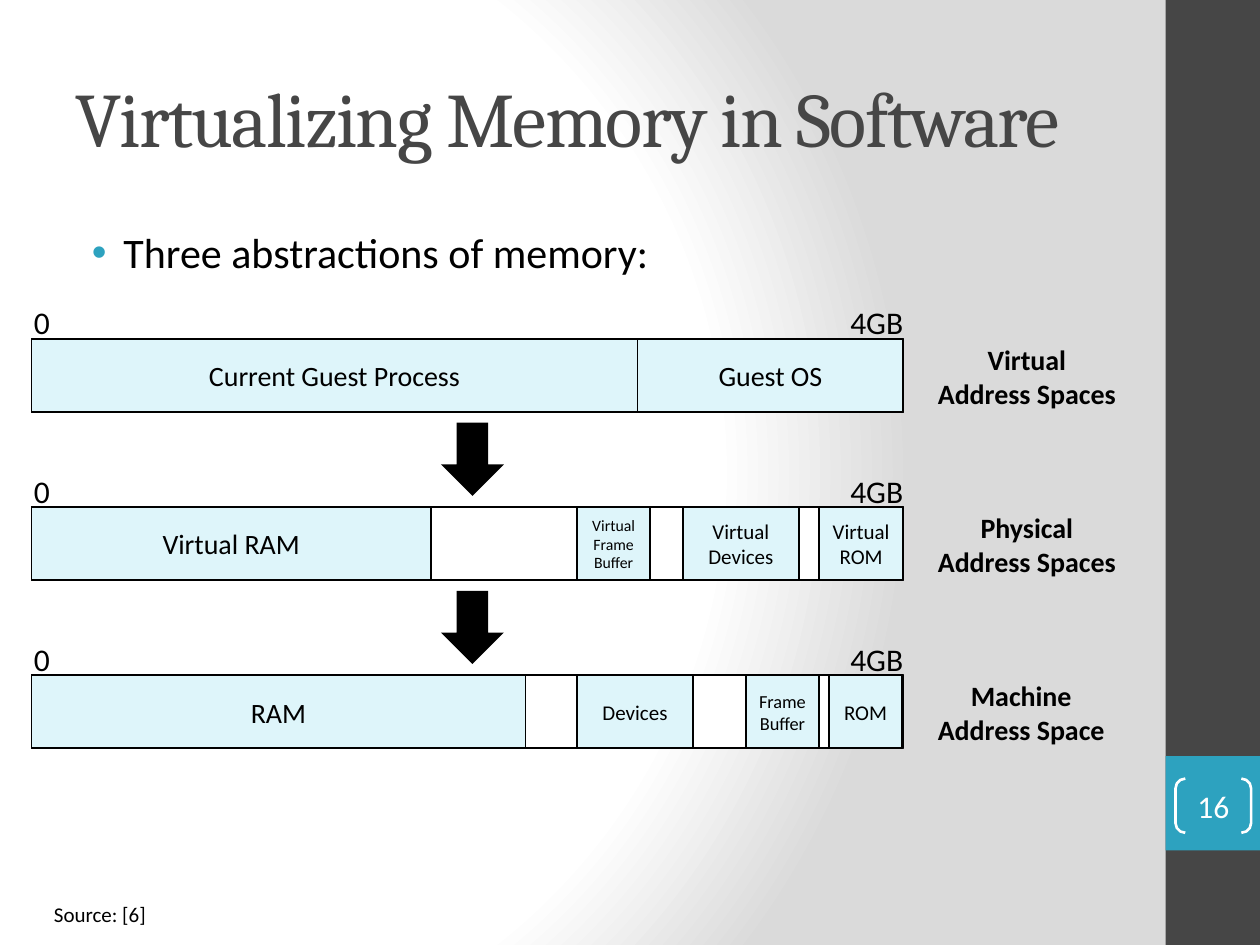
from dataclasses import dataclass
from pptx import Presentation
from pptx.dml.color import RGBColor
from pptx.enum.shapes import MSO_SHAPE as Shape
from pptx.enum.text import MSO_ANCHOR as Anchor, MSO_AUTO_SIZE as AutoSize, PP_ALIGN as Align
from pptx.oxml import parse_xml
from pptx.oxml.ns import nsdecls
from pptx.util import Inches, Pt


@dataclass(frozen=True)
class Theme:
    dark: str = "464646"
    accent: str = "2DA2BF"
    memory: str = "DEF5FA"
    white: str = "FFFFFF"
    shade: str = "DADADA"
    black: str = "000000"
    heading_font: str = "Cambria"
    body_font: str = "Calibri"
    title: float = 44
    bullet: float = 24
    address: float = 18
    label: float = 16
    small: float = 12
    compact: float = 10.5
    tiny: float = 9


theme = Theme()


def write(box, text, size, color=theme.black, align=Align.LEFT, bold=False, font=theme.body_font):
    frame = box.text_frame
    frame.text = text
    for para in frame.paragraphs:
        para.alignment = align
        para.font.name = font
        para.font.size = Pt(size)
        para.font.bold = bold
        para.font.color.rgb = RGBColor.from_string(color)
    return frame


def draw(kind, left, top, width, height, fill=None, line=None, weight=1):
    shape = page.shapes.add_shape(kind, Inches(left), Inches(top), Inches(width), Inches(height))
    shape.shadow.inherit = False
    if fill:
        shape.fill.solid()
        shape.fill.fore_color.rgb = RGBColor.from_string(fill)
    else:
        shape.fill.background()
    if line:
        shape.line.color.rgb = RGBColor.from_string(line)
        shape.line.width = Pt(weight)
    else:
        shape.line.fill.background()
    return shape


deck = Presentation()
deck.slide_width, deck.slide_height = Inches(10), Inches(7.5)
page = deck.slides.add_slide(deck.slide_layouts[1])

page.background.fill.solid()
backdrop = page.element.cSld.bg.bgPr
stops = "".join(
    f'<a:gs pos="{position * 1000}"><a:srgbClr val="{color}"/></a:gs>'
    for position, color in [(0, theme.white), (75, theme.white), (100, theme.shade)]
)
backdrop.replace(backdrop[0], parse_xml(
    f'<a:gradFill {nsdecls("a")} rotWithShape="1"><a:gsLst>{stops}</a:gsLst>'
    '<a:path path="circle"><a:fillToRect l="20000" t="50000" r="100000" b="50000"/></a:path></a:gradFill>'
))

draw(Shape.RECTANGLE, 9.25, 0, 0.75, 7.5, theme.dark)
draw(Shape.RECTANGLE, 9.25, 6, 0.75, 0.75, theme.accent)

title, body = page.placeholders
title.left, title.top, title.width, title.height = Inches(0.5), Inches(0.3), Inches(8.33), Inches(1.25)
frame = write(title, "Virtualizing Memory in Software", theme.title, theme.dark, font=theme.heading_font)
frame.vertical_anchor = Anchor.MIDDLE
frame.auto_size = AutoSize.NONE
frame.paragraphs[0].runs[0]._r.get_or_add_rPr().set("spc", "-100")

body.left, body.top, body.width, body.height = Inches(0.5), Inches(1.75), Inches(8.33), Inches(5.25)
frame = write(body, "Three abstractions of memory:", theme.bullet)
frame.auto_size = AutoSize.NONE
para = frame.paragraphs[0]
para.space_before = Pt(5)
properties = para._p.get_or_add_pPr()
properties.set("marL", str(Inches(0.38)))
properties.set("indent", str(Inches(-0.25)))
defaults = properties[-1]
for bullet in (
    f'<a:buClr {nsdecls("a")}><a:srgbClr val="{theme.accent}"/></a:buClr>',
    f'<a:buFont {nsdecls("a")} typeface="Arial"/>',
    f'<a:buChar {nsdecls("a")} char="•"/>',
):
    defaults.addprevious(parse_xml(bullet))

bar_left, bar_width, bar_height = 0.25, 6.92, 0.58
first_top, row_step = 2.69, 1.335
spaces = [
    ("Virtual\nAddress Spaces", 1.64, [
        ("Current Guest Process", 0.25, 4.81, theme.label),
        ("Guest OS", 5.06, 2.11, theme.label),
    ]),
    ("Physical\nAddress Spaces", 1.64, [
        ("Virtual RAM", 0.25, 3.17, theme.label),
        ("Virtual\nFrame\nBuffer", 4.58, 0.58, theme.tiny),
        ("Virtual\nDevices", 5.42, 0.92, theme.small),
        ("Virtual\nROM", 6.5, 0.67, theme.small),
    ]),
    ("Machine\nAddress Space", 1.55, [
        ("RAM", 0.25, 3.92, theme.label),
        ("Devices", 4.58, 0.92, theme.small),
        ("Frame\nBuffer", 5.92, 0.58, theme.compact),
        ("ROM", 6.58, 0.58, theme.small),
    ]),
]

for row, (name, name_width, regions) in enumerate(spaces):
    top = first_top + row * row_step
    if row:
        draw(Shape.DOWN_ARROW, 3.5, top - 0.67, 0.5, bar_height, theme.black)
    draw(Shape.RECTANGLE, bar_left, top, bar_width, bar_height, theme.white, theme.black)
    for text, left, width, size in regions:
        region = draw(Shape.RECTANGLE, left, top, width, bar_height, theme.memory, theme.black)
        frame = write(region, text, size, align=Align.CENTER)
        frame.vertical_anchor = Anchor.MIDDLE
        frame.margin_left = frame.margin_right = 0
    for text, left, offset, width, height, size, align, bold in [
        ("0", 0.17, -0.33, 0.33, 0.4, theme.address, Align.LEFT, False),
        ("4GB", 6.65, -0.33, 0.63, 0.4, theme.address, Align.LEFT, False),
        (name, 7.33, -0.02, name_width, 0.64, theme.label, Align.CENTER, True),
    ]:
        box = page.shapes.add_textbox(Inches(left), Inches(top + offset), Inches(width), Inches(height))
        write(box, text, size, align=align, bold=bold).word_wrap = False

source = page.shapes.add_textbox(Inches(0.33), Inches(7.11), Inches(8.5), Inches(0.3))
write(source, "Source: [6]", theme.small).word_wrap = True

number = draw(Shape.DOUBLE_BRACKET, 9.33, 6.18, 0.6, 0.43, line=theme.white, weight=1.5)
number.adjustments[0] = 0.18
frame = write(number, "16", theme.address, theme.white, Align.CENTER)
frame.vertical_anchor = Anchor.MIDDLE
frame.margin_left = frame.margin_right = frame.margin_top = frame.margin_bottom = 0

deck.save("out.pptx")
